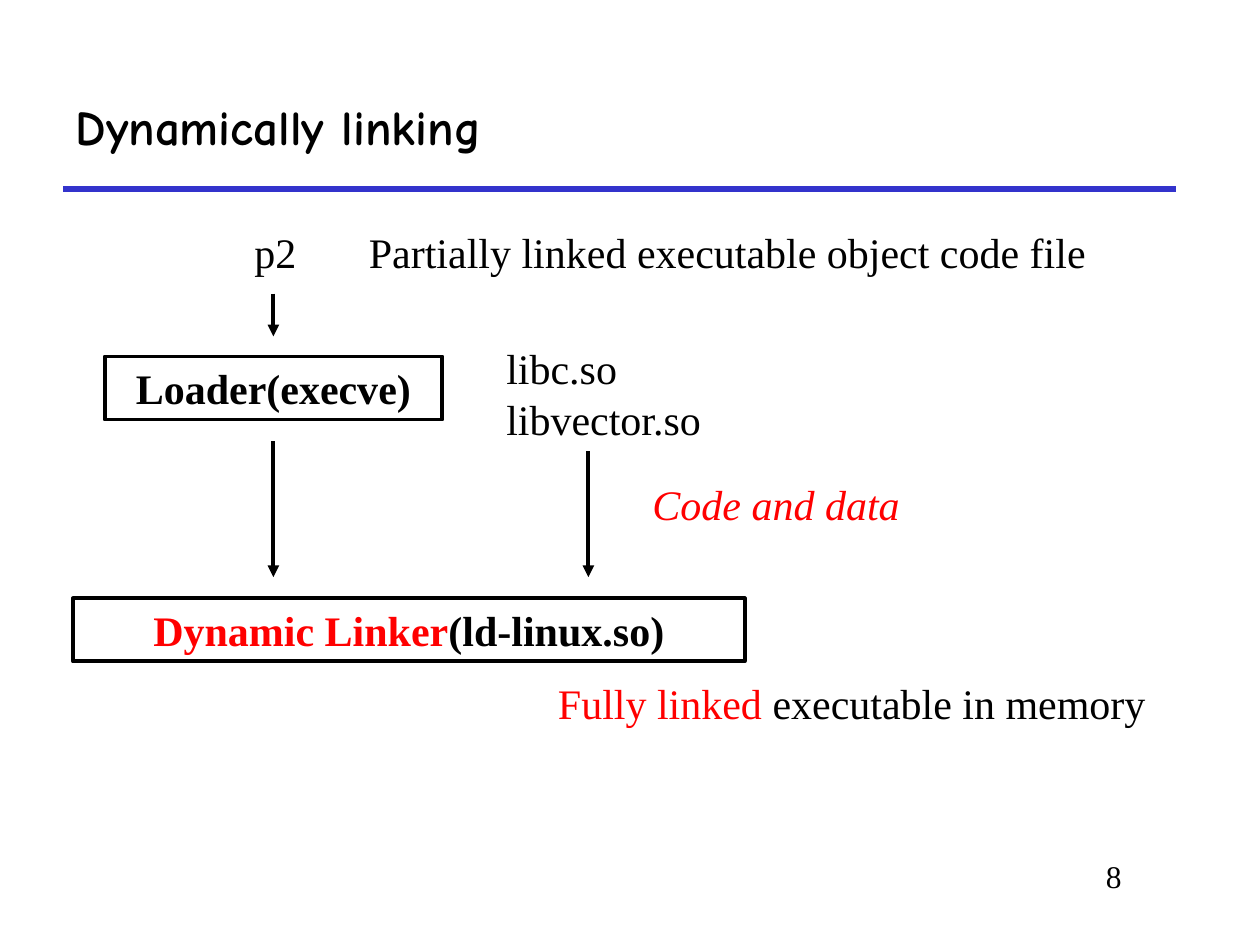
from pptx import Presentation
from pptx.dml.color import RGBColor
from pptx.enum.shapes import MSO_CONNECTOR, MSO_SHAPE
from pptx.enum.text import MSO_ANCHOR, PP_ALIGN
from pptx.oxml.ns import qn
from pptx.util import Inches, Pt
from lxml.etree import SubElement

# Content: each paragraph is a list of (text, colour) runs
BLACK, RED, BLUE = "000000", "FF0000", "3333CC"
BODY, HEADING = "Times New Roman", "Comic Neue"
TITLE = [[("Dynamically linking", BLACK)]]

# (left, top, width, height), paragraphs, font options
LABELS = [
    ((1.92, 1.75, 0.54, 0.51), [[("p2", BLACK)]], {}),
    ((2.83, 1.75, 6.67, 0.51),
     [[("Partially linked executable object code file", BLACK)]], {}),
    ((3.92, 2.67, 1.83, 0.91),
     [[("libc.so", BLACK)], [("libvector.so", BLACK)]], {}),
    ((5.08, 3.75, 2.75, 0.51), [[("Code and data", RED)]], {"italic": True}),
    ((4.33, 5.33, 5.25, 0.51),
     [[("Fully linked", RED), (" executable in memory", BLACK)]], {}),
    ((7.58, 6.75, 1.42, 0.5), [[("8", BLACK)]],
     {"size": 18, "align": PP_ALIGN.RIGHT}),
]
BOXES = [
    ((0.83, 2.83, 2.68, 0.5), [[("Loader(execve)", BLACK)]]),
    ((0.58, 4.75, 5.33, 0.5),
     [[("Dynamic Linker", RED), ("(ld-linux.so)", BLACK)]]),
]
# x, top, bottom of each downward arrow
ARROWS = [(2.17, 2.33, 2.67), (2.17, 3.5, 4.58), (4.67, 3.58, 4.58)]


def colour(value):
    return RGBColor.from_string(value)


def write(tf, paragraphs, font=BODY, size=24, bold=False, italic=False,
          align=PP_ALIGN.LEFT):
    tf.word_wrap = True
    for i, runs in enumerate(paragraphs):
        p = tf.paragraphs[0] if i == 0 else tf.add_paragraph()
        p.alignment = align
        for text, value in runs:
            r = p.add_run()
            r.text = text
            r.font.name, r.font.size = font, Pt(size)
            r.font.bold, r.font.italic = bold, italic
            r.font.color.rgb = colour(value)


def add_line(start, end, value, width, arrow=False):
    points = [Inches(v) for v in (*start, *end)]
    s = slide.shapes.add_connector(MSO_CONNECTOR.STRAIGHT, *points)
    s.line.color.rgb = colour(value)
    s.line.width = Pt(width)
    if arrow:
        SubElement(s.line._get_or_add_ln(), qn("a:tailEnd"), type="triangle")
    SubElement(s._element.spPr, qn("a:effectLst"))


prs = Presentation()
prs.slide_width, prs.slide_height = Inches(10), Inches(7.5)
slide = prs.slides.add_slide(prs.slide_layouts[5])

# Title and rule
title = slide.shapes.title
title.left, title.top = Inches(0.5), Inches(0.5)
title.width, title.height = Inches(8.83), Inches(1)
title.text_frame.vertical_anchor = MSO_ANCHOR.MIDDLE
write(title.text_frame, TITLE, font=HEADING, size=28, bold=True)
add_line((0.5, 1.5), (9.33, 1.5), BLUE, 3)

# Labels and page number
for place, paragraphs, options in LABELS:
    s = slide.shapes.add_textbox(*map(Inches, place))
    write(s.text_frame, paragraphs, **options)

# Program boxes
for place, paragraphs in BOXES:
    s = slide.shapes.add_shape(MSO_SHAPE.RECTANGLE, *map(Inches, place))
    s.shadow.inherit = False
    s.fill.background()
    s.line.color.rgb = colour(BLACK)
    s.line.width = Pt(2.25)
    write(s.text_frame, paragraphs, bold=True, align=PP_ALIGN.CENTER)

# Flow arrows
for x, top, bottom in ARROWS:
    add_line((x, top), (x, bottom), BLACK, 2.25, arrow=True)

prs.save("out.pptx")
